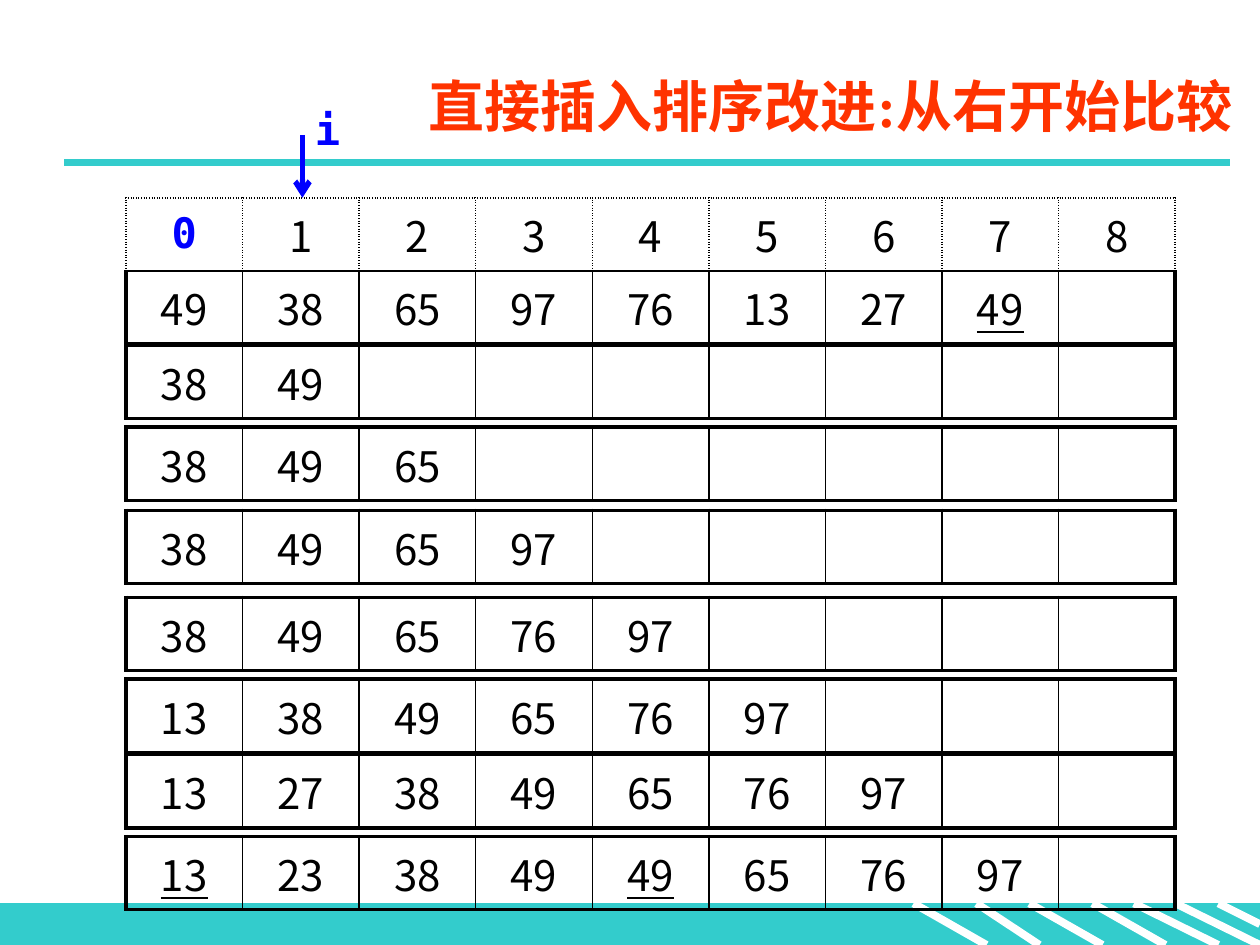
from lxml import etree
from pptx import Presentation
from pptx.dml.color import RGBColor
from pptx.enum.shapes import MSO_CONNECTOR, MSO_SHAPE
from pptx.enum.text import MSO_ANCHOR, MSO_AUTO_SIZE, PP_ALIGN
from pptx.oxml.ns import qn
from pptx.util import Inches, Pt

STRAIGHT = MSO_CONNECTOR.STRAIGHT
RECTANGLE = MSO_SHAPE.RECTANGLE
MIDDLE, TOP = MSO_ANCHOR.MIDDLE, MSO_ANCHOR.TOP
CENTER, LEFT, RIGHT = PP_ALIGN.CENTER, PP_ALIGN.LEFT, PP_ALIGN.RIGHT
GROW = MSO_AUTO_SIZE.SHAPE_TO_FIT_TEXT

TEAL = RGBColor(0x33, 0xCC, 0xCC)
WHITE = RGBColor(0xFF, 0xFF, 0xFF)
BLACK = RGBColor(0x00, 0x00, 0x00)
BLUE = RGBColor(0x00, 0x00, 0xFF)
ORANGE = RGBColor(0xFF, 0x33, 0x00)

SERIF, SANS, MONO = "Times New Roman", "Noto Sans CJK SC", "DejaVu Sans Mono"

TABLE_LEFT, TABLE_WIDTH = 1, 8.33
COLUMNS = 9
ROW_HEIGHT = 0.58
THIN, THICK = 1, 2.25

INDEXES = [str(index) for index in range(COLUMNS)]
START = "49 38 65 97 76 13 27 _49".split()
PASSES = [
    (2.74, "38 49"),
    (3.39, "38 49 65"),
    (4.05, "38 49 65 97"),
    (4.74, "38 49 65 76 97"),
    (5.39, "13 38 49 65 76 97"),
    (5.99, "13 27 38 49 65 76 97"),
    (6.64, "_13 23 38 49 _49 65 76 97"),
]


def style_font(paragraph, name, size, color, bold=False):
    """Set the font of a whole paragraph."""
    font = paragraph.font
    font.name, font.size, font.bold = name, Pt(size), bold
    font.color.rgb = color


def add_line(slide, start, end, color, width):
    """Draw a straight line without shadow between two points in inches."""
    line = slide.shapes.add_connector(STRAIGHT, *map(Inches, (*start, *end)))
    line.line.color.rgb = color
    line.line.width = Pt(width)
    etree.SubElement(line._element.spPr, qn("a:effectLst"))
    return line


def add_label(slide, box, text, font, align, anchor):
    """Place a one-paragraph text box."""
    shape = slide.shapes.add_textbox(*map(Inches, box))
    frame = shape.text_frame
    frame.word_wrap = True
    frame.vertical_anchor = anchor
    paragraph = frame.paragraphs[0]
    paragraph.text = text
    paragraph.alignment = align
    style_font(paragraph, *font, bold=True)
    return shape


def add_footer(slide, box):
    """Draw the teal band with its white slashes."""
    left, top, width, height = box
    band = slide.shapes.add_shape(RECTANGLE, *map(Inches, box))
    band.shadow.inherit = False
    band.fill.solid()
    band.fill.fore_color.rgb = TEAL
    band.line.color.rgb = TEAL
    band.line.width = Pt(0.75)
    slashes = [(0.725, 0.783, 1), (0.775, 0.825, 1), (0.817, 0.875, 1),
               (0.867, 0.925, 1), (0.9, 0.967, 1), (0.933, 1, 1), (0.967, 1, 0.5)]
    for start, end, depth in slashes:
        add_line(slide, (left + start * width, top),
                 (left + end * width, top + depth * height), WHITE, 4.5)


def add_heading(slide, box):
    """Place the title and the rule below it."""
    left, top, width, height = box
    add_line(slide, (0.51, top + height + 0.06), (9.76, top + height + 0.06), TEAL, 4.5)
    add_label(slide, box, "直接插入排序改进:从右开始比较", (SERIF, 32, ORANGE), RIGHT, MIDDLE)


def set_borders(cell, widths, dotted=""):
    """Give a cell its L, R, T and B borders, some of them dotted."""
    properties = cell._tc.get_or_add_tcPr()
    for side, width in zip("LRTB", widths):
        border = etree.SubElement(properties, qn(f"a:ln{side}"), w=str(Pt(width)))
        fill = etree.SubElement(border, qn("a:solidFill"))
        etree.SubElement(fill, qn("a:srgbClr"), val=str(BLACK))
        if side in dotted:
            etree.SubElement(border, qn("a:prstDash"), val="sysDot")


def fill_cell(cell, text, font):
    """Write a centred value; a leading underscore underlines it."""
    cell.fill.background()
    cell.vertical_anchor = MIDDLE
    paragraph = cell.text_frame.paragraphs[0]
    paragraph.text = text.lstrip("_")
    paragraph.alignment = CENTER
    style_font(paragraph, *font)
    if text.startswith("_"):
        paragraph.font.underline = True


def add_array(slide, top, rows, header=False):
    """Draw array states as a table, the first row holding indexes if asked."""
    frame = slide.shapes.add_table(len(rows), COLUMNS, *map(
        Inches, (TABLE_LEFT, top, TABLE_WIDTH, ROW_HEIGHT * len(rows))))
    table = frame.table
    table.first_row = table.horz_banding = False
    for row, values in enumerate(rows):
        is_index = header and row == 0
        for column in range(COLUMNS):
            cell = table.cell(row, column)
            if is_index:
                set_borders(cell, [THIN] * 4, "LRT")
            else:
                set_borders(cell, [THICK if column == 0 else THIN,
                                   THICK if column == COLUMNS - 1 else THIN,
                                   THIN if header else THICK, THICK])
            text = values[column] if column < len(values) else ""
            marked = is_index and column == 0
            fill_cell(cell, text, (MONO, 24, BLUE, True) if marked else (SANS, 24, BLACK))


def add_pointer(slide, box):
    """Draw the index arrow with its letter."""
    left, top, width, height = box
    arrow = add_line(slide, (left, top + height / 3), (left, top + height), BLUE, 3)
    etree.SubElement(arrow.line._get_or_add_ln(), qn("a:tailEnd"), type="arrow")
    label = add_label(slide, (left, top, width, 0.46), "i", (MONO, 24, BLUE), LEFT, TOP)
    label.text_frame.auto_size = GROW
    label.text_frame.paragraphs[0].line_spacing = 0.9


def main():
    """Build the slide and save it."""
    presentation = Presentation()
    presentation.slide_width, presentation.slide_height = Inches(10), Inches(7.5)
    slide = presentation.slides.add_slide(presentation.slide_layouts[6])
    add_footer(slide, (0, 7.17, 10, 0.33))
    add_heading(slide, (1.38, 0.44, 8.5, 0.79))
    add_array(slide, 1.57, [INDEXES, START], header=True)
    for top, values in PASSES:
        add_array(slide, top, [values.split()])
    add_pointer(slide, (2.4, 0.82, 0.75, 0.75))
    presentation.save("out.pptx")


if __name__ == "__main__":
    main()
